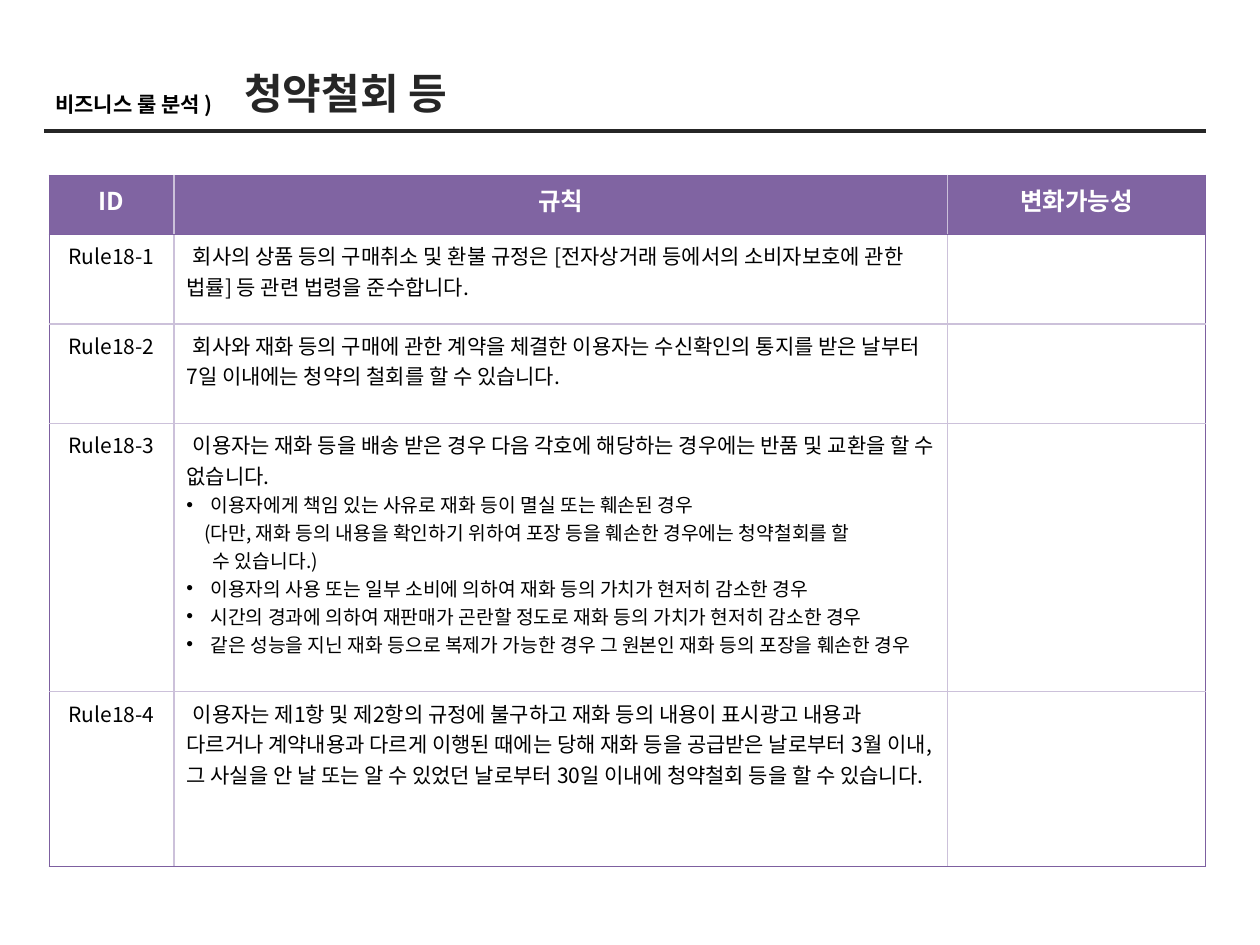
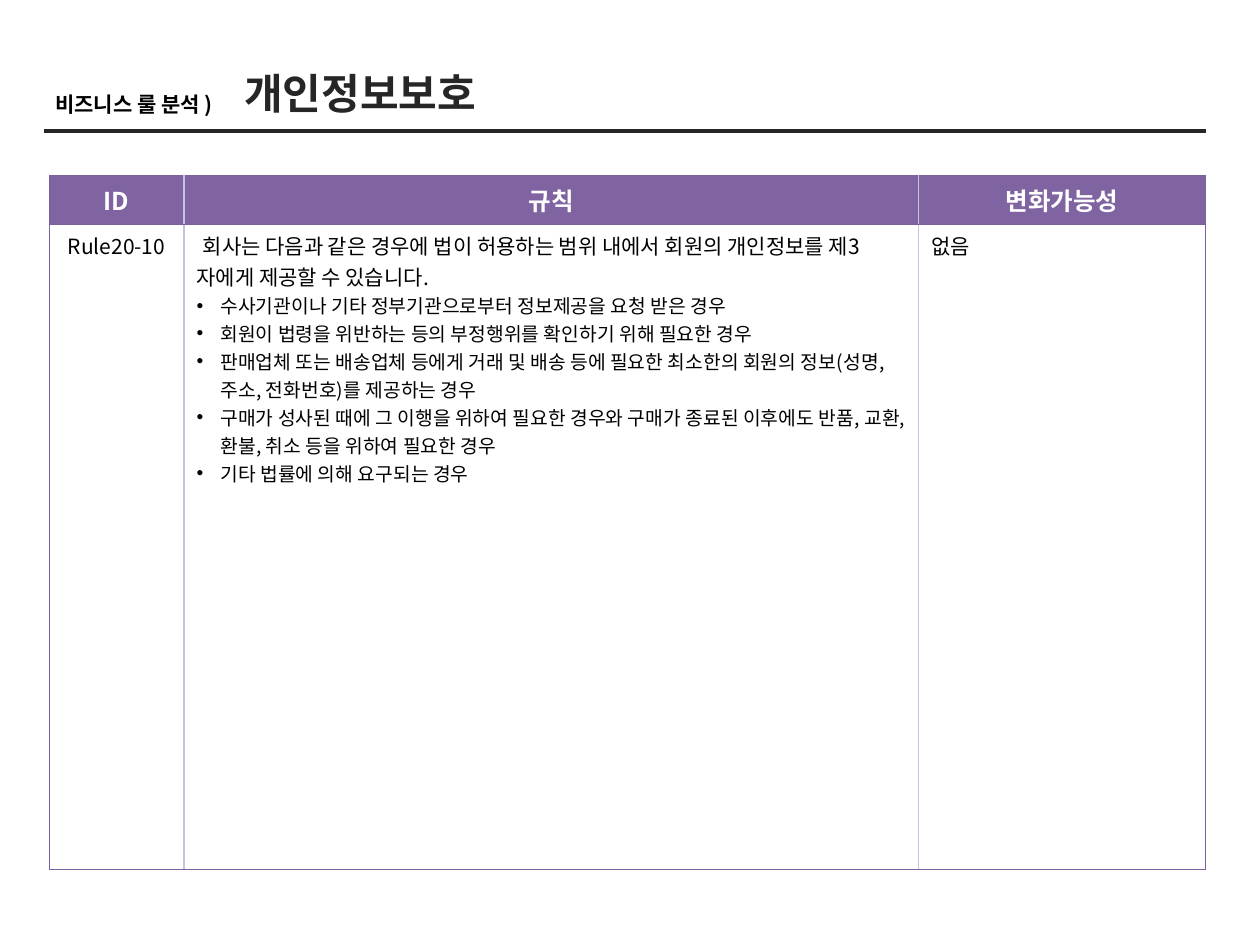
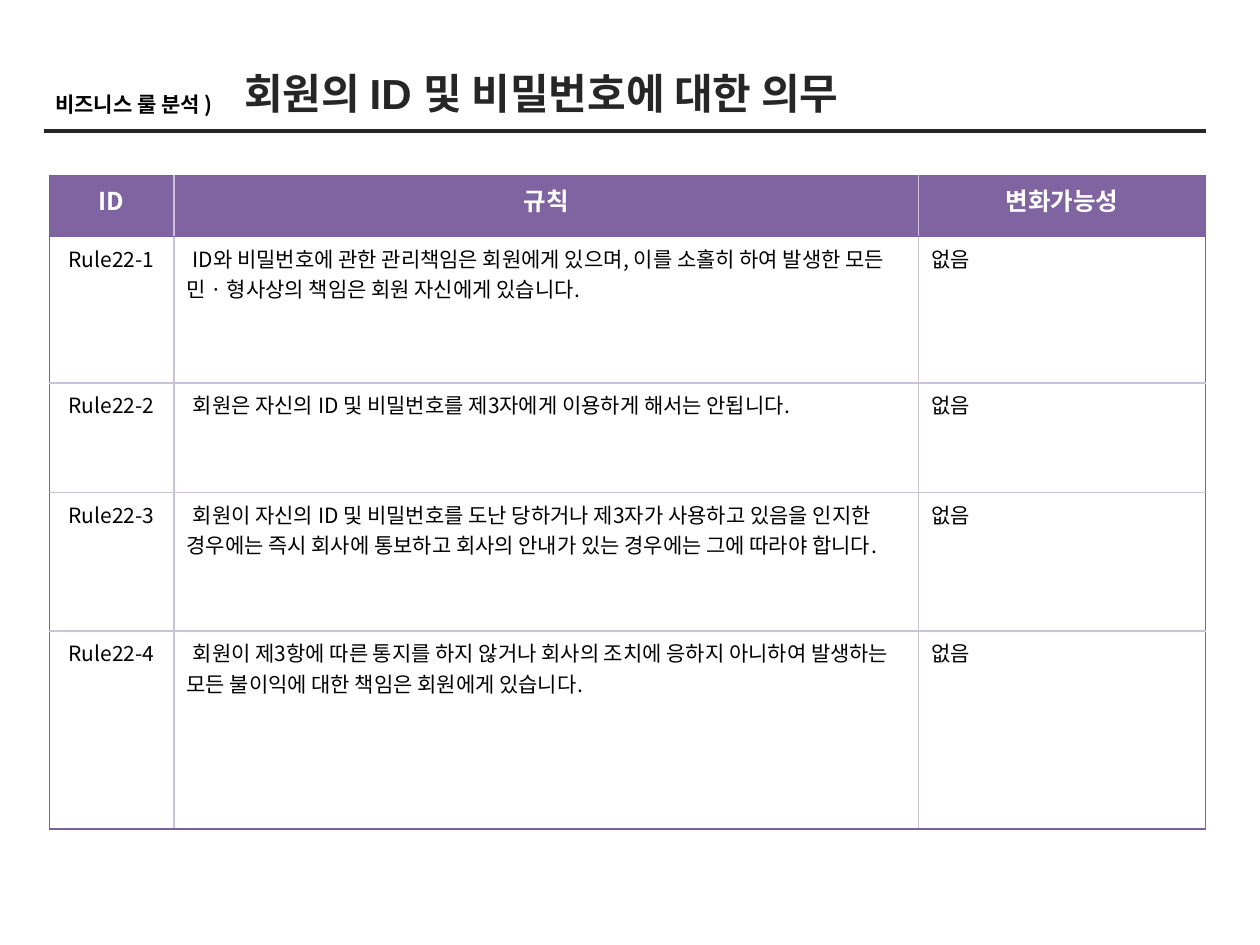
from lxml import etree
from pptx import Presentation
from pptx.dml.color import RGBColor
from pptx.enum.shapes import MSO_CONNECTOR
from pptx.enum.text import MSO_AUTO_SIZE, PP_ALIGN
from pptx.oxml.ns import qn
from pptx.util import Inches, Pt

CENTER, LEFT = PP_ALIGN.CENTER, PP_ALIGN.LEFT
STRAIGHT = MSO_CONNECTOR.STRAIGHT
FIT_SHAPE = MSO_AUTO_SIZE.SHAPE_TO_FIT_TEXT

KOREAN_FONT = "Noto Sans CJK KR"
TITLE_FONT = "Arial"
BLACK, WHITE, INK = "000000", "FFFFFF", "262626"
HEADER_FILL, FRAME, GRID = "8064A2", "7D60A0", "CCC1DA"
HEADINGS = ["ID", "규칙", "변화가능성"]

# Each style: size, left margin, first-line indent, bullet
STYLES = {
    "rule": (12, 0, 0.05, False),
    "plain": (12, 0, 0, False),
    "bullet": (11, 0.19, -0.19, True),
    "note": (11, 0.14, 0, False),
    "note_end": (11, 0.21, 0, False),
}

slides = [
    {
        "title": "청약철회 등",
        "title_width": 2,
        "columns": [0.99, 6.14, 2.05],
        "heights": [0.47, 0.71, 0.79, 2.13, 1.39],
        "rules": [
            ("Rule18-1", [("rule", "회사의 상품 등의 구매취소 및 환불 규정은 [전자상거래 등에서의 소비자보호에 관한 법률] 등 관련 법령을 준수합니다.")], ""),
            ("Rule18-2", [("rule", "회사와 재화 등의 구매에 관한 계약을 체결한 이용자는 수신확인의 통지를 받은 날부터 7일 이내에는 청약의 철회를 할 수 있습니다.")], ""),
            ("Rule18-3", [
                ("rule", "이용자는 재화 등을 배송 받은 경우 다음 각호에 해당하는 경우에는 반품 및 교환을 할 수 없습니다."),
                ("bullet", "이용자에게 책임 있는 사유로 재화 등이 멸실 또는 훼손된 경우"),
                ("note", "(다만, 재화 등의 내용을 확인하기 위하여 포장 등을 훼손한 경우에는 청약철회를 할"),
                ("note_end", "수 있습니다.)"),
                ("bullet", "이용자의 사용 또는 일부 소비에 의하여 재화 등의 가치가 현저히 감소한 경우"),
                ("bullet", "시간의 경과에 의하여 재판매가 곤란할 정도로 재화 등의 가치가 현저히 감소한 경우"),
                ("bullet", "같은 성능을 지닌 재화 등으로 복제가 가능한 경우 그 원본인 재화 등의 포장을 훼손한 경우"),
            ], ""),
            ("Rule18-4", [("rule", "이용자는 제1항 및 제2항의 규정에 불구하고 재화 등의 내용이 표시광고 내용과 다르거나 계약내용과 다르게 이행된 때에는 당해 재화 등을 공급받은 날로부터 3월 이내, 그 사실을 안 날 또는 알 수 있었던 날로부터 30일 이내에 청약철회 등을 할 수 있습니다.")], ""),
        ],
    },
    {
        "title": "개인정보보호",
        "title_width": 2.22,
        "columns": [1.07, 5.83, 2.28],
        "heights": [0.39, 5.12],
        "rules": [
            ("Rule20-10", [
                ("rule", "회사는 다음과 같은 경우에 법이 허용하는 범위 내에서 회원의 개인정보를 제3자에게 제공할 수 있습니다."),
                ("bullet", "수사기관이나 기타 정부기관으로부터 정보제공을 요청 받은 경우"),
                ("bullet", "회원이 법령을 위반하는 등의 부정행위를 확인하기 위해 필요한 경우"),
                ("bullet", "판매업체 또는 배송업체 등에게 거래 및 배송 등에 필요한 최소한의 회원의 정보(성명, 주소, 전화번호)를 제공하는 경우"),
                ("bullet", "구매가 성사된 때에 그 이행을 위하여 필요한 경우와 구매가 종료된 이후에도 반품, 교환, 환불, 취소 등을 위하여 필요한 경우"),
                ("bullet", "기타 법률에 의해 요구되는 경우"),
            ], "없음"),
        ],
    },
    {
        "title": "회원의 ID 및 비밀번호에 대한 의무",
        "title_width": 5.53,
        "columns": [0.99, 5.91, 2.28],
        "heights": [0.49, 1.16, 0.87, 1.1, 1.57],
        "rules": [
            ("Rule22-1", [("rule", "ID와 비밀번호에 관한 관리책임은 회원에게 있으며, 이를 소홀히 하여 발생한 모든 민 · 형사상의 책임은 회원 자신에게 있습니다.")], "없음"),
            ("Rule22-2", [("rule", "회원은 자신의 ID 및 비밀번호를 제3자에게 이용하게 해서는 안됩니다.")], "없음"),
            ("Rule22-3", [("rule", "회원이 자신의 ID 및 비밀번호를 도난 당하거나 제3자가 사용하고 있음을 인지한 경우에는 즉시 회사에 통보하고 회사의 안내가 있는 경우에는 그에 따라야 합니다.")], "없음"),
            ("Rule22-4", [("rule", "회원이 제3항에 따른 통지를 하지 않거나 회사의 조치에 응하지 아니하여 발생하는 모든 불이익에 대한 책임은 회원에게 있습니다.")], "없음"),
        ],
    },
]


def rgb(value):
    return RGBColor.from_string(value)


def add_run(paragraph, text, size, color, bold=False, font=KOREAN_FONT):
    run = paragraph.add_run()
    run.text = text
    run.font.size = Pt(size)
    run.font.bold = bold
    run.font.color.rgb = rgb(color)
    run.font.name = font
    etree.SubElement(run.font._element, qn("a:ea"), typeface=KOREAN_FONT)


prs = Presentation()
prs.slide_width, prs.slide_height = Inches(10), Inches(7.5)

for content in slides:
    slide = prs.slides.add_slide(prs.slide_layouts[6])

    heights, columns = content["heights"], content["columns"]
    table = slide.shapes.add_table(
        len(heights), len(columns), Inches(0.39), Inches(1.39),
        Inches(sum(columns)), Inches(sum(heights))).table
    table.first_row = True
    table.horz_banding = False
    for column, width in zip(table.columns, columns):
        column.width = Inches(width)
    for row, height in zip(table.rows, heights):
        row.height = Inches(height)

    grid = [[[("plain", heading)] for heading in HEADINGS]]
    for rule_id, clauses, change in content["rules"]:
        grid.append([[("plain", rule_id)], clauses, [("plain", change)] if change else []])

    last_row, last_column = len(heights) - 1, len(columns) - 1
    for r, entries in enumerate(grid):
        for c, clauses in enumerate(entries):
            cell = table.cell(r, c)
            header = r == 0
            if header:
                cell.fill.solid()
                cell.fill.fore_color.rgb = rgb(HEADER_FILL)
            else:
                cell.fill.background()

            edges = [("a:lnL", c == 0), ("a:lnR", c == last_column),
                     ("a:lnT", r <= 1), ("a:lnB", r in (0, last_row))]
            properties = cell._tc.get_or_add_tcPr()
            for position, (tag, framed) in enumerate(edges):
                edge = etree.Element(qn(tag), w=str(Pt(0.75 if framed else 1)))
                paint = etree.SubElement(edge, qn("a:solidFill"))
                etree.SubElement(paint, qn("a:srgbClr"), val=FRAME if framed else GRID)
                properties.insert(position, edge)

            for i, (style, text) in enumerate(clauses):
                frame = cell.text_frame
                paragraph = frame.add_paragraph() if i else frame.paragraphs[0]
                paragraph.alignment = CENTER if header or c == 0 else LEFT
                size, margin, indent, bulleted = STYLES[style]
                layout = paragraph._p.get_or_add_pPr()
                layout.set("marL", str(Inches(margin)))
                layout.set("indent", str(Inches(indent)))
                if bulleted:
                    etree.SubElement(layout, qn("a:buFont"), typeface="Arial")
                    etree.SubElement(layout, qn("a:buChar"), char="•")
                add_run(paragraph, text, 14 if header else size,
                        WHITE if header else BLACK, bold=header)

    rule_line = slide.shapes.add_connector(
        STRAIGHT, Inches(0.35), Inches(1.04), Inches(9.57), Inches(1.04))
    rule_line.line.color.rgb = rgb(INK)
    rule_line.line.width = Pt(2.25)
    etree.SubElement(rule_line._element.spPr, qn("a:effectLst"))

    for text, left, top, width, height, size, color, font in [
        ("비즈니스 룰 분석 )", 0.34, 0.68, 1.62, 0.3, 12, BLACK, KOREAN_FONT),
        (content["title"], 1.84, 0.49, content["title_width"], 0.5, 24, INK, TITLE_FONT),
    ]:
        heading = slide.shapes.add_textbox(
            Inches(left), Inches(top), Inches(width), Inches(height)).text_frame
        heading.word_wrap = False
        heading.auto_size = FIT_SHAPE
        add_run(heading.paragraphs[0], text, size, color, bold=True, font=font)

prs.save("out.pptx")
